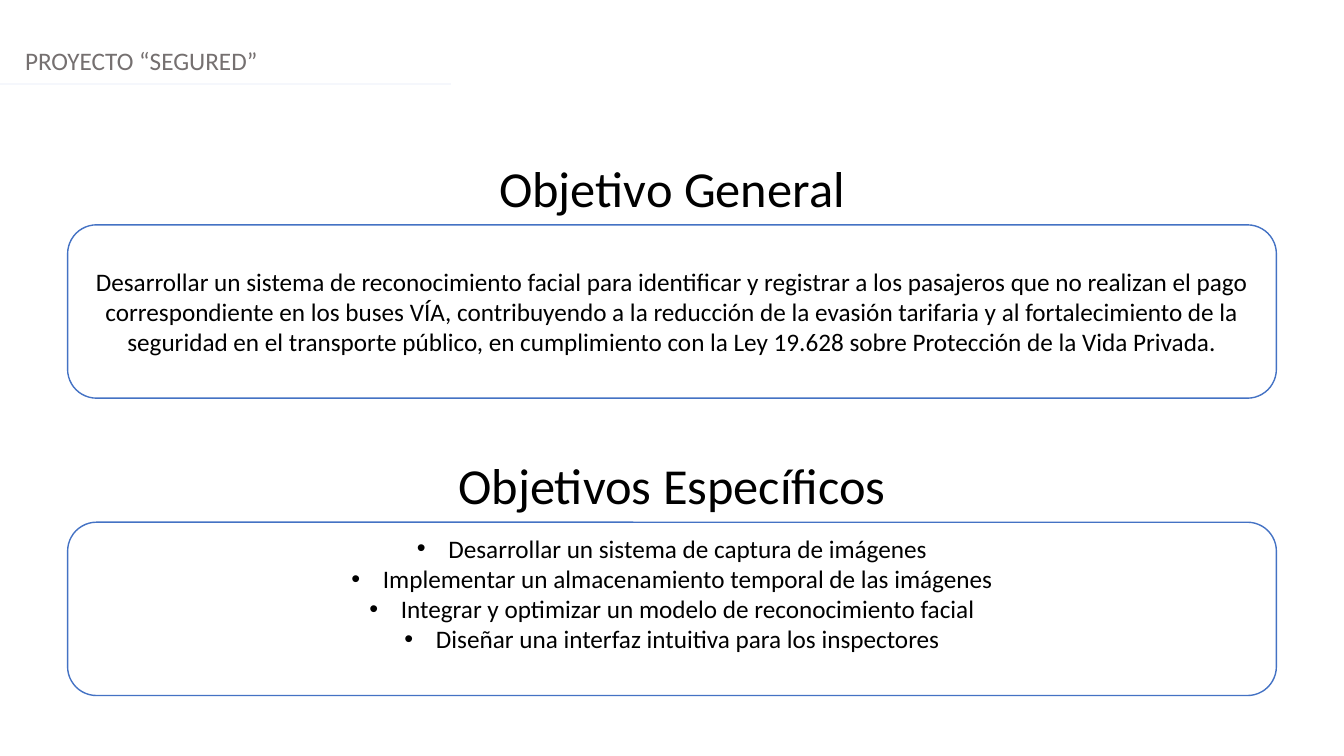
from collections import namedtuple
from dataclasses import dataclass

from lxml import etree
from pptx import Presentation
from pptx.dml.color import RGBColor
from pptx.enum.shapes import MSO_CONNECTOR, MSO_SHAPE
from pptx.enum.text import MSO_ANCHOR, PP_ALIGN
from pptx.oxml.ns import qn
from pptx.util import Pt

LEFT, CENTER = PP_ALIGN.LEFT, PP_ALIGN.CENTER
TOP, MIDDLE = MSO_ANCHOR.TOP, MSO_ANCHOR.MIDDLE
ROUNDED = MSO_SHAPE.ROUNDED_RECTANGLE
STRAIGHT = MSO_CONNECTOR.STRAIGHT

Box = namedtuple("Box", "left top width height")


@dataclass(frozen=True)
class Theme:
    """Colours, font and type sizes of the slide."""
    font: str = "Calibri"
    ink: str = "000000"
    muted: str = "757070"
    paper: str = "FFFFFF"
    outline: str = "4472C4"
    rule: str = "F5F7FC"
    heading: float = 36
    body: float = 18


THEME = Theme()
PAGE = Box(0, 0, 960, 540)
HEADER = Box(0, 28.8, 960, 31)
SECTIONS_TOP = 108.7
SECTION_PITCH = 212.4
SECTION_HEIGHT = 175.7
HEADING_HEIGHT = 51.9
PANEL_MARGIN = 48.3
BULLET_INDENT = 22.5

SECTIONS = [
    {"heading": "Objetivo General",
     "lines": ["Desarrollar un sistema de reconocimiento facial para identificar y "
               "registrar a los pasajeros que no realizan el pago correspondiente en "
               "los buses VÍA, contribuyendo a la reducción de la evasión tarifaria y "
               "al fortalecimiento de la seguridad en el transporte público, en "
               "cumplimiento con la Ley 19.628 sobre Protección de la Vida Privada."]},
    {"heading": "Objetivos Específicos",
     "lines": ["Desarrollar un sistema de captura de imágenes",
               "Implementar un almacenamiento temporal de las imágenes",
               "Integrar y optimizar un modelo de reconocimiento facial",
               "Diseñar una interfaz intuitiva para los inspectores"],
     "bulleted": True, "bottom_inset": 25.6},
]


def lengths(box):
    """Return the sides of a box as point lengths."""
    return [Pt(side) for side in box]


def add_bullet(para):
    """Give a paragraph a round bullet with a hanging indent."""
    properties = para._p.get_or_add_pPr()
    properties.set("marL", str(Pt(BULLET_INDENT)))
    properties.set("indent", str(-Pt(BULLET_INDENT)))
    etree.SubElement(properties, qn("a:buFont"), typeface="Arial")
    etree.SubElement(properties, qn("a:buChar"), char="•")


def write(shape, lines, size, color, align, anchor=TOP, bulleted=False, bottom_inset=3.6):
    """Fill a shape with formatted paragraphs."""
    frame = shape.text_frame
    frame_format = {"word_wrap": True, "vertical_anchor": anchor,
                    "margin_left": Pt(7.2), "margin_right": Pt(7.2),
                    "margin_top": Pt(3.6), "margin_bottom": Pt(bottom_inset)}
    for name, value in frame_format.items():
        setattr(frame, name, value)
    frame.text = "\n".join(lines)
    for para in frame.paragraphs:
        para.alignment = align
        if bulleted:
            add_bullet(para)
        for span in para.runs:
            for name, value in {"name": THEME.font, "size": Pt(size)}.items():
                setattr(span.font, name, value)
            span.font.color.rgb = RGBColor.from_string(color)


def add_header(page, box, title):
    """Place the project title and the pale rule below it."""
    label = page.shapes.add_textbox(
        *lengths(Box(box.left + 10.8, box.top, box.width - 10.8, 28.8)))
    write(label, [title], THEME.body, THEME.muted, LEFT)
    bottom = Pt(box.top + box.height)
    rule = page.shapes.add_connector(
        STRAIGHT, Pt(box.left), bottom, Pt(box.left + 322), bottom)
    rule.line.color.rgb = RGBColor.from_string(THEME.rule)
    rule.line.width = Pt(1.25)
    etree.SubElement(rule._element.spPr, qn("a:effectLst"))


def add_section(page, box, heading, lines, **text_format):
    """Place a centred heading over a rounded panel of text."""
    title = page.shapes.add_textbox(*lengths(box._replace(height=HEADING_HEIGHT)))
    write(title, [heading], THEME.heading, THEME.ink, CENTER)
    panel = page.shapes.add_shape(ROUNDED, *lengths(Box(
        box.left + PANEL_MARGIN, box.top + HEADING_HEIGHT,
        box.width - 2 * PANEL_MARGIN, box.height - HEADING_HEIGHT)))
    panel.shadow.inherit = False
    panel.fill.solid()
    panel.fill.fore_color.rgb = RGBColor.from_string(THEME.paper)
    panel.line.color.rgb = RGBColor.from_string(THEME.outline)
    panel.line.width = Pt(1)
    write(panel, lines, THEME.body, THEME.ink, CENTER, MIDDLE, **text_format)


def main():
    """Build the objectives slide and save it."""
    deck = Presentation()
    deck.slide_width, deck.slide_height = Pt(PAGE.width), Pt(PAGE.height)
    page = deck.slides.add_slide(deck.slide_layouts[6])
    add_header(page, HEADER, "PROYECTO “SEGURED”")
    for index, section in enumerate(SECTIONS):
        top = SECTIONS_TOP + index * SECTION_PITCH
        add_section(page, Box(0, top, PAGE.width, SECTION_HEIGHT), **section)
    deck.save("out.pptx")


if __name__ == "__main__":
    main()
